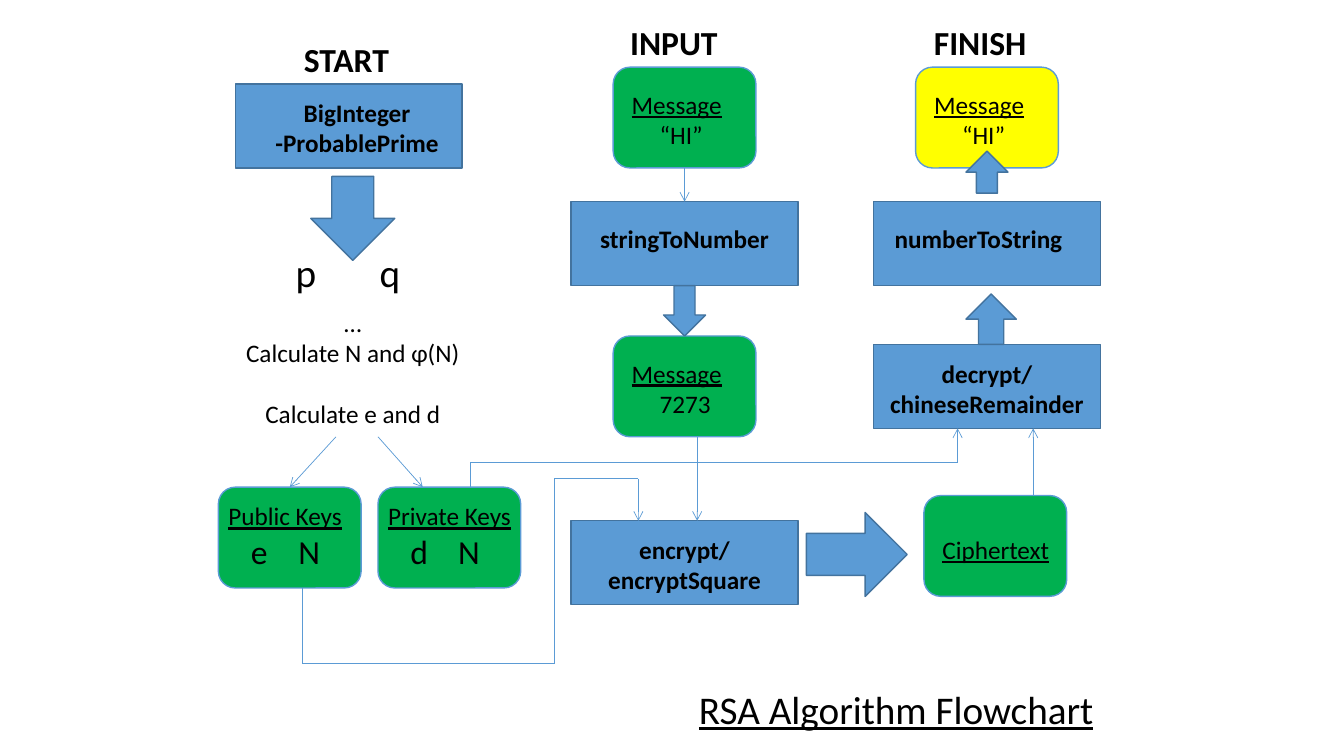
from lxml.etree import SubElement
from pptx import Presentation
from pptx.dml.color import RGBColor
from pptx.enum.shapes import MSO_CONNECTOR, MSO_SHAPE
from pptx.enum.text import MSO_ANCHOR, MSO_AUTO_SIZE, PP_ALIGN
from pptx.oxml.ns import qn
from pptx.util import Pt

BLUE = RGBColor(0x5B, 0x9B, 0xD5)
DARK_BLUE = RGBColor(0x43, 0x73, 0x9E)
GREEN = RGBColor(0x00, 0xB0, 0x50)
YELLOW = RGBColor(0xFF, 0xFF, 0x00)
BLACK = RGBColor(0, 0, 0)

TOP, BOTTOM = 0, 2  # connection sites
MESSAGE_TABS = (20,)
KEY_TABS = (16, 50)


def write(frame, text, size=18, bold=False, underline=False,
          align=PP_ALIGN.LEFT, space_before=0, tabs=()):
    """Write one paragraph, using the empty first paragraph if it is free."""
    paragraph = frame.paragraphs[0]
    if paragraph.runs:
        paragraph = frame.add_paragraph()
    paragraph.alignment = align
    paragraph.space_before = Pt(space_before)
    if tabs:
        tab_list = SubElement(paragraph._p.get_or_add_pPr(), qn("a:tabLst"))
        for position in tabs:
            SubElement(tab_list, qn("a:tab"), pos=str(Pt(position)), algn="l")
    run = paragraph.add_run()
    run.text = text
    font = run.font
    font.name, font.size, font.bold, font.underline = "Calibri", Pt(size), bold, underline
    font.color.rgb = BLACK


class Flowchart:
    """Holds the slide and the style of its elements."""

    step_size = (162, 60)
    data_size = (102, 72)

    def __init__(self, slide):
        self.slide = slide

    def frame(self, shape, left=7.2, top=3.6, right=7.2):
        frame = shape.text_frame
        frame.word_wrap = True
        frame.auto_size = MSO_AUTO_SIZE.NONE
        frame.vertical_anchor = MSO_ANCHOR.TOP
        frame.margin_left, frame.margin_top = Pt(left), Pt(top)
        frame.margin_right, frame.margin_bottom = Pt(right), 0
        return frame

    def title(self, text, left, top, width, height):
        title = self.slide.shapes.title
        title.left, title.top, title.width, title.height = map(Pt, (left, top, width, height))
        write(self.frame(title), text, size=28, underline=True)

    def text_box(self, left, top, width, height):
        return self.frame(self.slide.shapes.add_textbox(*map(Pt, (left, top, width, height))))

    def label(self, text, left, top, width, **style):
        write(self.text_box(left, top, width, 40), text, **style)

    def shape(self, kind, left, top, width, height, fill=BLUE, line=DARK_BLUE):
        shape = self.slide.shapes.add_shape(kind, *map(Pt, (left, top, width, height)))
        shape.shadow.inherit = False
        shape.fill.solid()
        shape.fill.fore_color.rgb = fill
        shape.line.color.rgb = line
        shape.line.width = Pt(1)
        return shape

    def step(self, left, top, *lines, margin_left=7.2, margin_right=7.2):
        shape = self.shape(MSO_SHAPE.RECTANGLE, left, top, *self.step_size)
        margin_top = 15.6 if len(lines) == 1 and " " not in lines[0] else 9.6
        frame = self.frame(shape, margin_left, margin_top, margin_right)
        for text in lines:
            write(frame, text, bold=True, align=PP_ALIGN.CENTER)
        return shape

    def data(self, left, top, heading, value=None, fill=GREEN, size=18,
             tabs=MESSAGE_TABS, margin_left=9.7, margin_top=12.1):
        shape = self.shape(MSO_SHAPE.ROUNDED_RECTANGLE, left, top, *self.data_size,
                           fill=fill, line=BLUE)
        frame = self.frame(shape, margin_left, margin_top, 0)
        write(frame, heading, underline=True)
        if value:
            write(frame, value, size=size, tabs=tabs)
        return shape

    def keys(self, left, heading, value):
        return self.data(left, 348, heading, value, size=24, tabs=KEY_TABS,
                         margin_left=3.7, margin_top=6.1)

    def connector(self, start, end, arrow=True, source=None, target=None):
        connector = self.slide.shapes.add_connector(
            MSO_CONNECTOR.STRAIGHT, *map(Pt, (*start, *end)))
        connector.line.color.rgb = BLUE
        connector.line.width = Pt(0.5)
        properties = connector.element.spPr
        if arrow:
            SubElement(properties.find(qn("a:ln")), qn("a:tailEnd"), type="arrow")
        SubElement(properties, qn("a:effectLst"))
        if source is not None:
            connector.begin_connect(source, BOTTOM)
        if target is not None:
            connector.end_connect(target, TOP)

    def route(self, *points):
        """Join the points with lines, with an arrowhead on the last one."""
        for start, end in zip(points, points[1:]):
            self.connector(start, end, arrow=end == points[-1])


def main():
    presentation = Presentation()
    presentation.slide_width, presentation.slide_height = Pt(960), Pt(540)
    slide = presentation.slides.add_slide(presentation.slide_layouts[5])
    chart = Flowchart(slide)
    chart.title("RSA Algorithm Flowchart", 492, 486, 324, 41)

    # Column headings
    for text, left, top in (("START", 210, 24), ("INPUT", 443, 12), ("FINISH", 660, 12)):
        chart.label(text, left, top, 108, size=24, bold=True)

    # Start: key generation
    chart.step(168, 60, "BigInteger -ProbablePrime", margin_left=19.2)
    chart.shape(MSO_SHAPE.DOWN_ARROW, 222, 126, 60, 60)
    for prime, left in (("p", 204), ("q", 264)):
        chart.label(prime, left, 174, 40, size=28)
    calculation = chart.text_box(162, 216, 180, 94)
    for text, gap in (("…", 0), ("Calculate N and φ(N)", 0), ("Calculate e and d", 22)):
        write(calculation, text, align=PP_ALIGN.CENTER, space_before=gap)
    public_keys = chart.keys(156, "Public Keys", "\te\tN")
    chart.keys(270, "Private Keys", "\td\tN")
    chart.connector((240, 312), (207, 348), target=public_keys)
    chart.connector((270, 312), (302, 348))

    # Input: encryption
    message = chart.data(438, 48, "Message", "\t“HI”")
    to_number = chart.step(408, 144, "stringToNumber")
    chart.connector((489, 120), (489, 144), source=message, target=to_number)
    chart.data(438, 240, "Message", "\t7273")
    chart.shape(MSO_SHAPE.DOWN_ARROW, 474, 204, 30, 36)
    chart.step(408, 372, "encrypt/", "encryptSquare")
    chart.connector((498, 312), (498, 372))
    chart.shape(MSO_SHAPE.RIGHT_ARROW, 576, 366, 72, 60)

    # Finish: decryption
    chart.data(660, 354, "Ciphertext", margin_top=24.1)
    chart.step(624, 246, "decrypt/", "chineseRemainder")
    chart.connector((738, 354), (738, 306))
    chart.step(624, 144, "numberToString", margin_right=19.2)
    chart.shape(MSO_SHAPE.UP_ARROW, 690, 210, 36, 36)
    chart.data(654, 48, "Message", "\t“HI”", fill=YELLOW)
    chart.shape(MSO_SHAPE.UP_ARROW, 690, 108, 30, 30)

    # Keys lead to encryption and decryption
    chart.route((216, 420), (216, 474), (396, 474), (396, 342), (456, 342), (456, 372))
    chart.route((336, 348), (336, 330), (684, 330), (684, 306))

    presentation.save("out.pptx")


if __name__ == "__main__":
    main()
